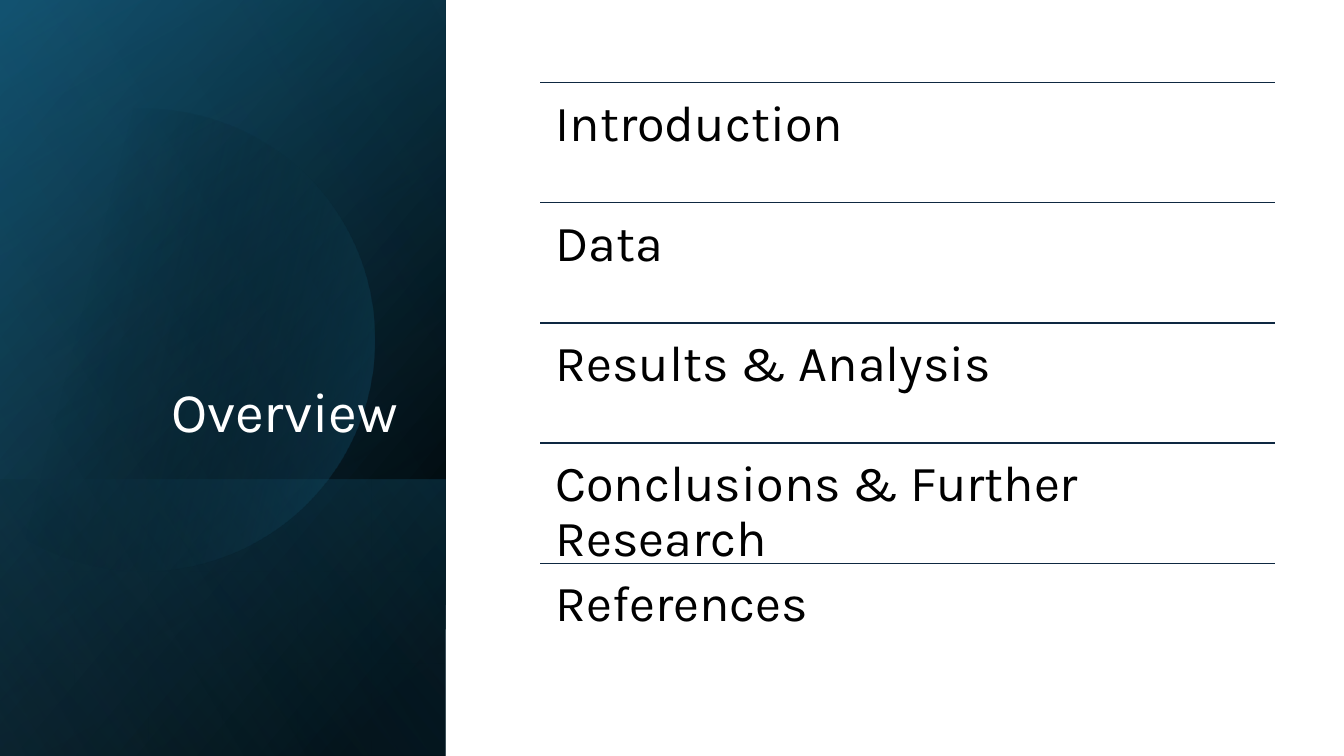
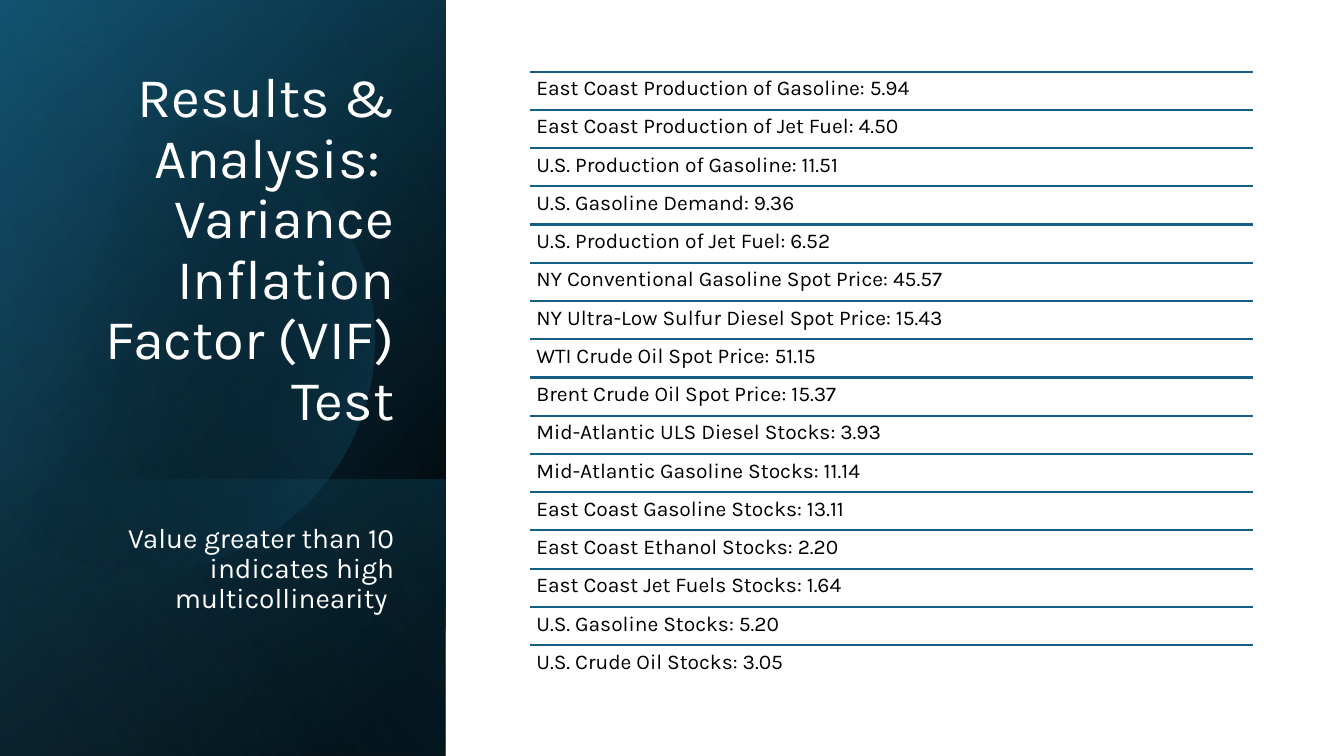
from math import acos, cos, pi, sin

from lxml.etree import SubElement
from pptx import Presentation
from pptx.dml.color import RGBColor as Rgb
from pptx.enum.shapes import MSO_CONNECTOR as Line, MSO_SHAPE as Shape
from pptx.enum.text import MSO_ANCHOR as Anchor, MSO_AUTO_SIZE as Fit, PP_ALIGN as Align
from pptx.oxml.ns import qn
from pptx.util import Inches, Pt

FONT = "Karla"
HUES = {
    "black": "000000",
    "white": "FFFFFF",
    "navy": "0E2841",
    "deep": "104862",
    "teal": "156082",
    "sky": "46B1E1",
}
PANEL = (0, 0, 4.42, 7.5)
TOPICS = [
    "Introduction",
    "Data",
    "Results & Analysis",
    "Conclusions & Further Research",
    "References",
]
FACTORS = [
    ("East Coast Production of Gasoline", 5.94),
    ("East Coast Production of Jet Fuel", 4.50),
    ("U.S. Production of Gasoline", 11.51),
    ("U.S. Gasoline Demand", 9.36),
    ("U.S. Production of Jet Fuel", 6.52),
    ("NY Conventional Gasoline Spot Price", 45.57),
    ("NY Ultra-Low Sulfur Diesel Spot Price", 15.43),
    ("WTI Crude Oil Spot Price", 51.15),
    ("Brent Crude Oil Spot Price", 15.37),
    ("Mid-Atlantic ULS Diesel Stocks", 3.93),
    ("Mid-Atlantic Gasoline Stocks", 11.14),
    ("East Coast Gasoline Stocks", 13.11),
    ("East Coast Ethanol Stocks", 2.20),
    ("East Coast Jet Fuels Stocks", 1.64),
    ("U.S. Gasoline Stocks", 5.20),
    ("U.S. Crude Oil Stocks", 3.05),
]


def tint(name):
    """Return the named colour."""
    return Rgb.from_string(HUES[name])


def blend(shape, stops, angle):
    """Fill a shape with a clockwise gradient of (place, colour, opacity) stops."""
    shape.shadow.inherit = False
    shape.line.fill.background()
    shape.fill.gradient()
    shape.fill.gradient_angle = 360 - angle
    for stop, (place, name, _) in zip(shape.fill.gradient_stops, stops):
        stop.position = place / 100
        stop.color.rgb = tint(name)
    colors = list(shape.element.iter(qn("a:srgbClr")))
    for color, (_, _, alpha) in zip(colors, stops):
        if alpha < 100:
            SubElement(color, qn("a:alpha"), val=str(alpha * 1000))


def sheet(slide, box, stops, angle):
    """Cover a box with a mirrored, quarter-turned gradient rectangle."""
    left, top, wide, high = box
    shift = (wide - high) / 2
    place = (left + shift, top - shift, high, wide)
    shape = slide.shapes.add_shape(Shape.RECTANGLE, *map(Inches, place))
    shape.rotation = 90
    shape.element.spPr.find(qn("a:xfrm")).set("flipH", "1")
    blend(shape, stops, angle)


def disc(slide, box):
    """Draw the faint circle, cut off just beyond the left edge of the box."""
    left, top = box[:2]
    mid_x, mid_y, size = left + 1.42, top + 3.37, 2.29
    reach = pi - acos((mid_x - left + 0.15) / size)
    count = 120
    turns = [reach * (2 * step / count - 1) for step in range(count + 1)]
    dots = [
        (Inches(mid_x + size * cos(turn)), Inches(mid_y + size * sin(turn)))
        for turn in turns
    ]
    path = slide.shapes.build_freeform(*dots[0])
    path.add_line_segments(dots[1:], close=True)
    blend(path.convert_to_shape(), [(29, "black", 0), (100, "teal", 43)], 14)


def panel(slide, box):
    """Layer the dark gradient panel."""
    left, top, wide, high = box
    foot = 2.74
    base = (left, top + high - foot, wide, foot)
    sheet(slide, box, [(8, "black", 100), (100, "deep", 100)], 50)
    sheet(slide, box, [(0, "black", 0), (99, "teal", 46)], 30)
    sheet(slide, base, [(2, "teal", 29), (100, "black", 30)], 130)
    disc(slide, box)
    sheet(slide, box, [(0, "black", 0), (99, "sky", 11)], 120)


def write(shape, text, size, name, align=Align.LEFT, anchor=Anchor.TOP, inset=None):
    """Set and format the text of a shape."""
    frame = shape.text_frame
    frame.text = text
    frame.word_wrap = True
    frame.auto_size = Fit.NONE
    frame.vertical_anchor = anchor
    if inset is not None:
        frame.margin_left = frame.margin_right = Inches(inset)
        frame.margin_top = frame.margin_bottom = Inches(inset)
    for para in frame.paragraphs:
        para.alignment = align
        para.line_spacing = 0.9
        for run in para.runs:
            run.font.name = FONT
            run.font.size = Pt(size)
            run.font.color.rgb = tint(name)


def head(slide, box, text):
    """Place the title in front of the panel."""
    title = slide.shapes.title
    title.left, title.top, title.width, title.height = map(Inches, box)
    title.element.getparent().append(title.element)
    write(title, text, 40, "white", Align.RIGHT, Anchor.BOTTOM)


def note(slide, box, text):
    """Place a remark on the panel."""
    shape = slide.shapes.add_textbox(*map(Inches, box))
    write(shape, text, 20, "white", Align.RIGHT, Anchor.BOTTOM)


def ruled(slide, box, items, size, inset, hue, weight):
    """Stack items in equal rows with a line above each."""
    left, top, wide, high = box
    pitch = high / len(items)
    for row, item in enumerate(items):
        y = top + row * pitch
        ends = (left, y, left + wide, y)
        rule = slide.shapes.add_connector(Line.STRAIGHT, *map(Inches, ends))
        rule.line.color.rgb = tint(hue)
        rule.line.width = Pt(weight)
        SubElement(rule.element.spPr, qn("a:effectLst"))
        cell = (left, y, wide, pitch)
        label = slide.shapes.add_textbox(*map(Inches, cell))
        write(label, item, size, "black", inset=inset)


def start(deck, box, title):
    """Add a slide with the shared panel and title."""
    slide = deck.slides.add_slide(deck.slide_layouts[5])
    slide.background.fill.solid()
    slide.background.fill.fore_color.rgb = tint("white")
    panel(slide, PANEL)
    head(slide, box, title)
    return slide


def topics(deck):
    """Build the overview slide."""
    slide = start(deck, (0.64, 1.84, 3.41, 2.62), "Overview")
    ruled(slide, (5.36, 0.82, 7.29, 5.96), TOPICS, 36, 0.15, "navy", 1)


def factors(deck):
    """Build the variance inflation slide."""
    title = "Results & Analysis: \vVariance Inflation Factor (VIF) Test"
    slide = start(deck, (0.51, 0.64, 3.5, 3.7), title)
    remark = "Value greater than 10 indicates high multicollinearity "
    note(slide, (0.51, 5.05, 3.5, 1.1), remark)
    items = [f"{name}: {value:.2f}" for name, value in FACTORS]
    ruled(slide, (5.26, 0.71, 7.17, 6.07), items, 15, 0.06, "teal", 1.5)


def main():
    """Build and save the deck."""
    deck = Presentation()
    deck.slide_width, deck.slide_height = Inches(13.33), Inches(7.5)
    topics(deck)
    factors(deck)
    deck.save("out.pptx")


if __name__ == "__main__":
    main()
